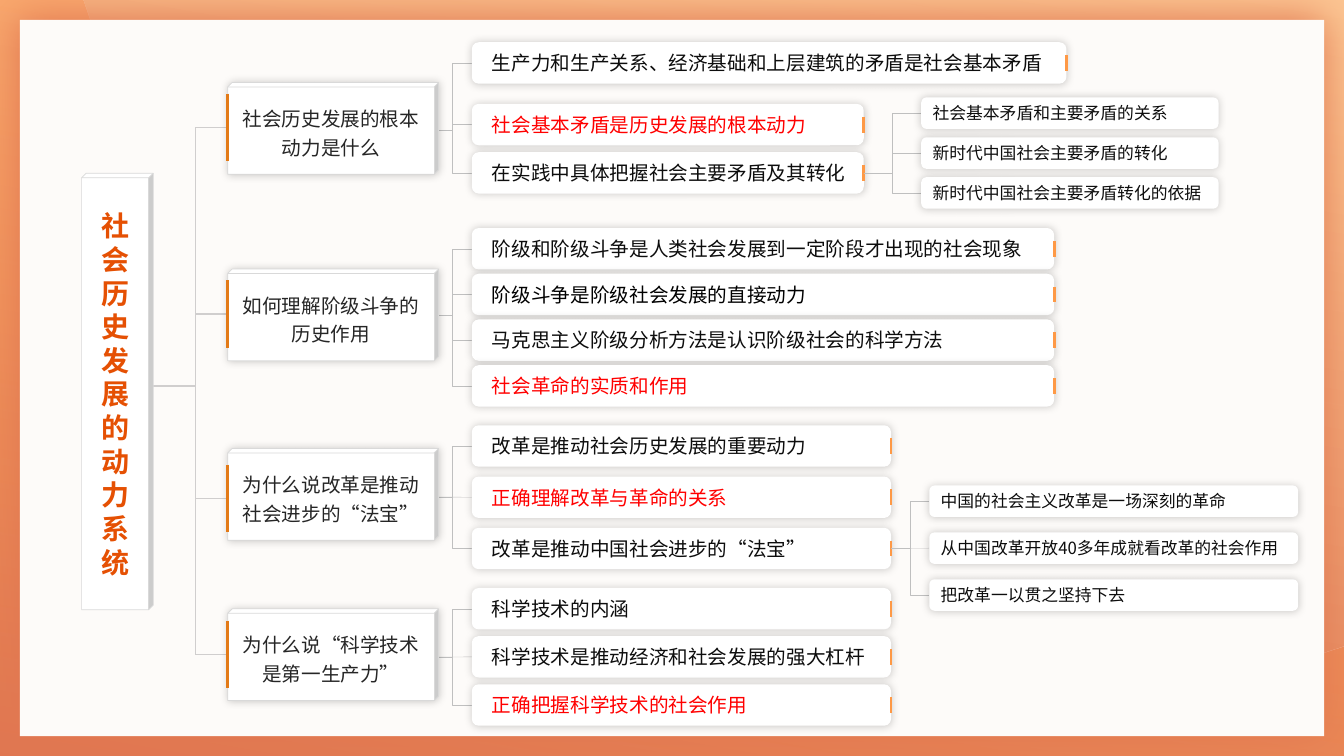
from pptx import Presentation
from pptx.dml.color import RGBColor
from pptx.enum.shapes import MSO_CONNECTOR as Link, MSO_SHAPE as Shape
from pptx.enum.text import MSO_ANCHOR as Anchor, PP_ALIGN as Align
from pptx.oxml import parse_xml
from pptx.oxml.ns import nsdecls, qn
from pptx.util import Pt

FONT = "Noto Sans CJK SC"
WIDTH, HEIGHT = 960, 540
INK, RED, GREY, TRUNK = "0D0D0D", "FF0000", "BFBFBF", "D0CECE"
TRUNK_X, BRANCH_X, HUB_X, LEAF_X = 139.5, 162.7, 309.5, 337
BRANCH_W, BRANCH_H, LEAF_H, NOTE_H = 150.5, 65.5, 29.6, 22.5

# Branch: text, top, axis of its stub, hub height, leaves, notes.
# Leaf: text, top, width, colour. Notes hang from the last leaf.
BRANCHES = [
    ("社会历史发展的根本动力是什么", 59, 91.1, 92.9,
     [("生产力和生产关系、经济基础和上层建筑的矛盾是社会基本矛盾", 30.2, 424.8, INK),
      ("社会基本矛盾是历史发展的根本动力", 74.2, 280, RED),
      ("在实践中具体把握社会主要矛盾及其转化", 108.7, 280, INK)],
     (658, 69.6, 28.5, 212.4,
      ["社会基本矛盾和主要矛盾的关系", "新时代中国社会主要矛盾的转化",
       "新时代中国社会主要矛盾转化的依据"])),
    ("如何理解阶级斗争的历史作用", 192.2, 224.3, 225.4,
     [(text, 162.9 + 32.65 * i, 416, color) for i, (text, color) in enumerate([
         ("阶级和阶级斗争是人类社会发展到一定阶段才出现的社会现象", INK),
         ("阶级斗争是阶级社会发展的直接动力", "000000"),
         ("马克思主义阶级分析方法是认识阶级社会的科学方法", INK),
         ("社会革命的实质和作用", RED)])],
     None),
    ("为什么说改革是推动社会进步的“法宝”", 320.4, 356, 355,
     [(text, 303.8 + 36.6 * i, 299.5, color) for i, (text, color) in enumerate([
         ("改革是推动社会历史发展的重要动力", INK),
         ("正确理解改革与革命的关系", RED),
         ("改革是推动中国社会进步的“法宝”", INK)])],
     (663.8, 346.8, 33.5, 263.5,
      ["中国的社会主义改革是一场深刻的革命",
       "从中国改革开放40多年成就看改革的社会作用", "把改革一以贯之坚持下去"])),
    ("为什么说“科学技术是第一生产力”", 434.9, 467.5, 469.4,
     [(text, 420 + 34.4 * i, 299.5, color) for i, (text, color) in enumerate([
         ("科学技术的内涵", INK),
         ("科学技术是推动经济和社会发展的强大杠杆", INK),
         ("正确把握科学技术的社会作用", RED)])],
     None),
]


def rgb(color):
    return RGBColor.from_string(color)


def add_glow(shape, color, alpha, blur):
    """Give the shape a blurred shadow without offset."""
    shape._element.spPr.find(qn("a:effectLst")).append(parse_xml(
        f'<a:outerShdw {nsdecls("a")} blurRad="{Pt(blur)}" dist="0" dir="18900000" '
        f'algn="ctr" rotWithShape="0"><a:srgbClr val="{color}">'
        f'<a:alpha val="{alpha * 1000}"/></a:srgbClr></a:outerShdw>'))


def add_box(page, kind, left, top, width, height, fill="FFFFFF", outline=None):
    box = page.shapes.add_shape(kind, Pt(left), Pt(top), Pt(width), Pt(height))
    box.shadow.inherit = False
    box.fill.solid()
    box.fill.fore_color.rgb = rgb(fill)
    if outline:
        box.line.color.rgb = rgb(outline)
        box.line.width = Pt(0.5)
    else:
        box.line.fill.background()
    return box


def write(box, text, size, color, align=Align.LEFT, bold=False, pitch=None, indent=0):
    frame = box.text_frame
    frame.word_wrap = True
    frame.vertical_anchor = Anchor.MIDDLE
    frame.margin_left = Pt(7.2 + indent)
    para = frame.paragraphs[0]
    para.alignment = align
    if pitch:
        para.line_spacing = Pt(pitch)
    span = para.add_run()
    span.text = text
    font = span.font
    font.name, font.size, font.bold = FONT, Pt(size), bold
    font.color.rgb = rgb(color)
    span._r.rPr.append(parse_xml(f'<a:ea {nsdecls("a")} typeface="{FONT}"/>'))


def add_line(page, x1, y1, x2, y2, color, width, kind=Link.STRAIGHT):
    line = page.shapes.add_connector(kind, Pt(x1), Pt(y1), Pt(x2), Pt(y2))
    line.line.color.rgb = rgb(color)
    line.line.width = Pt(width)
    line._element.spPr.append(parse_xml(f'<a:effectLst {nsdecls("a")}/>'))


def add_tick(page, x, middle, length, color):
    add_line(page, x, middle - length / 2, x, middle + length / 2, color, 2)


def add_elbow(page, x1, y1, x2, y2):
    kind = Link.ELBOW if abs(y2 - y1) > 1 else Link.STRAIGHT
    add_line(page, x1, y1, x2, y2, GREY, 0.25, kind)


def shade(shape, start, end):
    """Fill upwards from start to a half-transparent end colour."""
    shape.fill.gradient()
    shape.fill.gradient_angle = 80
    for stop, color in zip(shape.fill.gradient_stops, (start, end)):
        stop.color.rgb = rgb(color)
    last = shape._element.spPr.findall(".//" + qn("a:srgbClr"))[-1]
    last.append(parse_xml(f'<a:alpha {nsdecls("a")} val="50000"/>'))


def curve(points, steps=24):
    """Points along a cubic Bezier curve, after its start."""
    for step in range(1, steps + 1):
        t = step / steps
        weights = ((1 - t) ** 3, 3 * t * (1 - t) ** 2, 3 * t * t * (1 - t), t ** 3)
        yield tuple(sum(w * p[axis] for w, p in zip(weights, points)) for axis in (0, 1))


def add_backdrop(page, width, height):
    shade(add_box(page, Shape.RECTANGLE, 0, 0, width, height), "E17751", "FD7201")

    outline = [(width, 0), (width, 460.8), (946.8, 465.1)]
    outline += curve([(946.8, 465.1), (879.8, 486), (809.3, 496.8), (735.8, 496.8)])
    outline += curve([(735.8, 496.8), (429.8, 496.8), (169.9, 303.1), (70.6, 31.7)])
    builder = page.shapes.build_freeform(Pt(59.8), 0)
    builder.add_line_segments([(Pt(x), Pt(y)) for x, y in outline])
    sweep = builder.convert_to_shape()
    sweep.shadow.inherit = False
    sweep.line.fill.background()
    shade(sweep, "E17751", "FDD5A6")

    panel = add_box(page, Shape.RECTANGLE, 14.2, 14.2, width - 28.4, height - 28.4, "FDFBF9")
    add_glow(panel, "E17751", 100, 30)


def add_root(page, left, top, width, height):
    middle = top + height / 2
    add_line(page, TRUNK_X, BRANCHES[0][2], TRUNK_X, BRANCHES[-1][2], TRUNK, 1)
    add_line(page, left + width, middle - 4, TRUNK_X, middle - 4, TRUNK, 1)
    cube = add_box(page, Shape.CUBE, left, top, width, height, outline="D9D9D9")
    cube.adjustments[0] = 0.063
    write(cube, "社会历史发展的动力系统", 20, "E55003", Align.CENTER, True, pitch=24)


def add_card(page, left, top, width, height, text, size, color, indent=0):
    card = add_box(page, Shape.ROUNDED_RECTANGLE, left, top, width, height)
    add_glow(card, "000000", 20, 6)
    write(card, text, size, color, indent=indent, pitch=size * 1.2)


def add_notes(page, hub_x, hub_y, left, top, step, width, texts):
    for i, text in enumerate(texts):
        note_top = top + i * step
        add_elbow(page, hub_x, hub_y, left, note_top + NOTE_H / 2)
        add_card(page, left, note_top, width, NOTE_H, text, 12, INK)


def add_branch(page, text, top, axis, hub_y, leaves, notes):
    add_line(page, BRANCH_X, axis, TRUNK_X, axis, TRUNK, 1)
    for _, leaf_top, _, _ in leaves:
        add_elbow(page, HUB_X, hub_y, LEAF_X, leaf_top + LEAF_H / 2)
    for leaf_text, leaf_top, width, color in leaves:
        right, middle = LEAF_X + width, leaf_top + LEAF_H / 2
        add_card(page, LEAF_X, leaf_top, width, LEAF_H, leaf_text, 14, color, indent=5.8)
        add_tick(page, right, middle, 11.3, "FE9946")
    if notes:
        add_notes(page, right, middle, *notes)
    cube = add_box(page, Shape.CUBE, BRANCH_X, top, BRANCH_W, BRANCH_H, outline="D9D9D9")
    cube.adjustments[0] = 0.048
    add_glow(cube, "000000", 20, 6)
    write(cube, text, 14, "262626", Align.CENTER, pitch=20.4)
    add_tick(page, BRANCH_X, axis, 48.4, "E37A17")


def main():
    deck = Presentation()
    deck.slide_width, deck.slide_height = Pt(WIDTH), Pt(HEIGHT)
    page = deck.slides.add_slide(deck.slide_layouts[6])
    add_backdrop(page, WIDTH, HEIGHT)
    add_root(page, 58.3, 123.8, 51.1, 311.8)
    for branch in BRANCHES:
        add_branch(page, *branch)
    deck.save("out.pptx")


if __name__ == "__main__":
    main()
